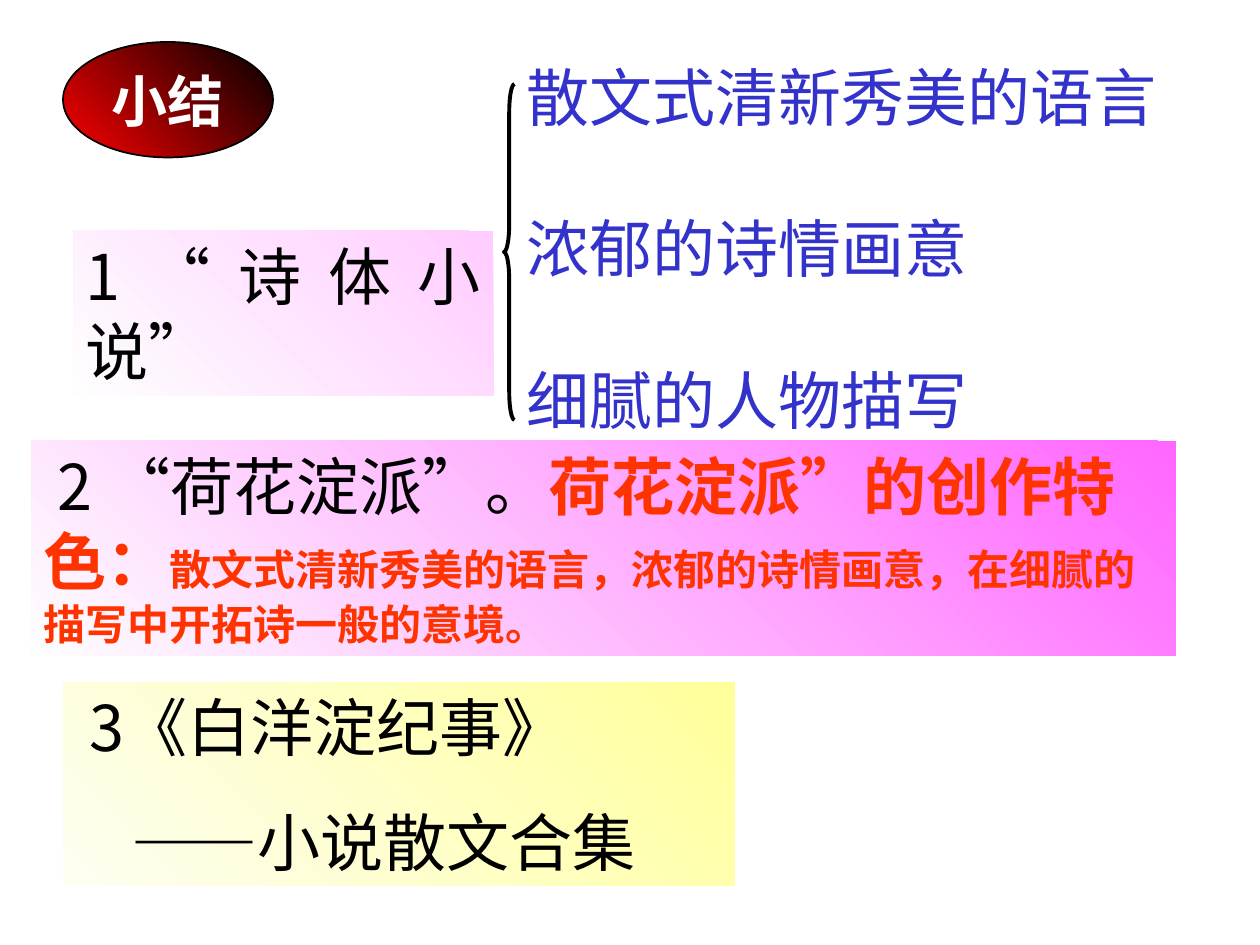
from lxml.etree import SubElement
from pptx import Presentation
from pptx.dml.color import RGBColor
from pptx.enum.shapes import MSO_SHAPE
from pptx.enum.text import MSO_ANCHOR, PP_ALIGN
from pptx.oxml.ns import qn
from pptx.util import Pt

SANS, SERIF = "Noto Sans CJK SC", "Times New Roman"
BLACK = RGBColor(0x00, 0x00, 0x00)
WHITE = RGBColor(0xFF, 0xFF, 0xFF)
NEAR_WHITE = RGBColor(0xFE, 0xFE, 0xFE)
CREAM = RGBColor(0xFE, 0xFE, 0xF3)
BLUE = RGBColor(0x33, 0x33, 0xCC)
RED = RGBColor(0xFF, 0x00, 0x00)
ORANGE = RGBColor(0xFF, 0x33, 0x00)
PALE_PINK = RGBColor(0xFF, 0xCC, 0xFF)
PINK = RGBColor(0xFF, 0x66, 0xFF)
YELLOW = RGBColor(0xFF, 0xFF, 0x99)

PLAIN = {"size": Pt(36), "name": SANS, "bold": False}
BLACK_TEXT = (PLAIN, BLACK)
BLUE_TEXT = (PLAIN, BLUE)
STRONG = ({"size": Pt(36), "name": SERIF, "bold": True}, ORANGE)
STRONG_SMALL = ({"size": Pt(24), "name": SERIF, "bold": True}, ORANGE)
BADGE_TEXT = ({"size": Pt(32), "name": SERIF, "bold": True}, WHITE)


def add_gradient_shape(kind, box, start, end):
    """Add a shape whose colour runs from the top right to the bottom left."""
    sp = s.shapes.add_shape(kind, *map(Pt, box))
    sp.shadow.inherit = False
    sp.line.fill.background()
    sp.fill.gradient()
    sp.fill.gradient_angle = 225
    for stop, color, position in zip(sp.fill.gradient_stops, (start, end), (0, 1)):
        stop.color.rgb = color
        stop.position = position
    return sp


def write(sp, paragraphs, **formats):
    """Fill a shape with paragraphs, each a list of (text, style) runs."""
    tf = sp.text_frame
    tf.word_wrap = True
    tf.vertical_anchor = MSO_ANCHOR.TOP
    for i, runs in enumerate(paragraphs):
        p = tf.add_paragraph() if i else tf.paragraphs[0]
        for key, value in formats.items():
            if i or key != "space_before":
                setattr(p, key, value)
        for text, (font, color) in runs:
            r = p.add_run()
            r.text = text
            for key, value in font.items():
                setattr(r.font, key, value)
            r.font.color.rgb = color
            rPr = r.font._element
            rPr.set("lang", "zh-CN")
            SubElement(rPr, qn("a:ea")).set("typeface", SANS)
    return tf


prs = Presentation()
prs.slide_width, prs.slide_height = Pt(720), Pt(540)
s = prs.slides.add_slide(prs.slide_layouts[6])

# Features of the poetic novel
features = s.shapes.add_textbox(Pt(294), Pt(30), Pt(402), Pt(223))
write(features,
      [[(text, BLUE_TEXT)] for text in ("散文式清新秀美的语言", "浓郁的诗情画意", "细腻的人物描写")],
      alignment=PP_ALIGN.JUSTIFY, space_before=Pt(43.2))

# Numbered points
point = add_gradient_shape(MSO_SHAPE.RECTANGLE, (42, 132, 240, 94), PALE_PINK, NEAR_WHITE)
write(point, [[("1“诗体小说”", BLACK_TEXT)]], alignment=PP_ALIGN.JUSTIFY)

point = add_gradient_shape(MSO_SHAPE.RECTANGLE, (18, 252, 654, 122.4), PINK, NEAR_WHITE)
write(point,
      [[(" 2 “荷花淀派”。", BLACK_TEXT),
        ("荷花淀派”的创作特色：", STRONG),
        ("散文式清新秀美的语言，浓郁的诗情画意，在细腻的描写中开拓诗一般的意境。", STRONG_SMALL)]],
      alignment=PP_ALIGN.LEFT)

point = add_gradient_shape(MSO_SHAPE.RECTANGLE, (36, 390, 384, 116), YELLOW, CREAM)
tf = write(point, [[(" 3《白洋淀纪事》", BLACK_TEXT)], [("——小说散文合集", BLACK_TEXT)]],
           alignment=PP_ALIGN.LEFT, space_before=Pt(22.5))
pPr = tf.paragraphs[1]._p.get_or_add_pPr()
pPr.set("marL", str(Pt(32)))

# Summary badge
badge = add_gradient_shape(MSO_SHAPE.OVAL, (36, 24, 120, 66), BLACK, RED)
badge.line.color.rgb = BLACK
badge.line.width = Pt(1)
tf = write(badge, [[("小结", BADGE_TEXT)]], alignment=PP_ALIGN.CENTER)
tf.word_wrap = False
tf.vertical_anchor = MSO_ANCHOR.MIDDLE

# Brace joining the features
brace = s.shapes.add_shape(MSO_SHAPE.LEFT_BRACE, Pt(288), Pt(48), Pt(6), Pt(192))
brace.shadow.inherit = False
brace.fill.background()
brace.line.color.rgb = BLACK
brace.line.width = Pt(2.25)
brace.adjustments[0] = 2.67

prs.save("out.pptx")
